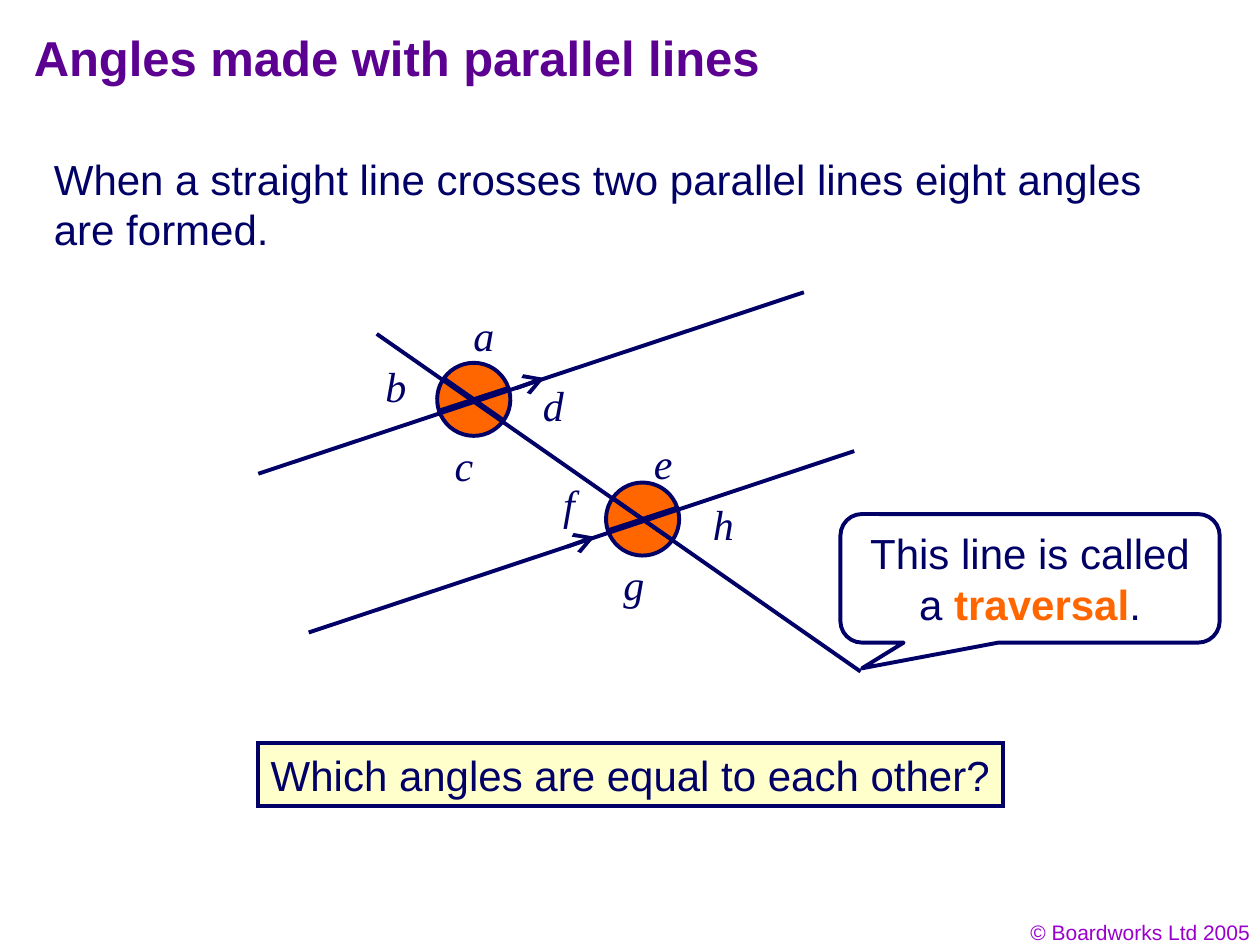
"""Build a slide on the angles made where a line crosses two parallel lines."""
from math import cos, radians, sin, tan

from lxml import etree
from pptx import Presentation
from pptx.dml.color import RGBColor
from pptx.enum.shapes import MSO_CONNECTOR, MSO_SHAPE
from pptx.enum.text import MSO_ANCHOR, PP_ALIGN
from pptx.oxml.ns import qn
from pptx.util import Inches, Pt

STRAIGHT = MSO_CONNECTOR.STRAIGHT
RECTANGLE = MSO_SHAPE.RECTANGLE
CALLOUT = MSO_SHAPE.ROUNDED_RECTANGULAR_CALLOUT
LEFT, CENTER, RIGHT = PP_ALIGN.LEFT, PP_ALIGN.CENTER, PP_ALIGN.RIGHT
TOP, MIDDLE = MSO_ANCHOR.TOP, MSO_ANCHOR.MIDDLE
COLORS = {name: RGBColor.from_string(value) for name, value in {
    "text": "010066", "line": "000066", "orange": "FF6600",
    "cream": "FFFFCC", "title": "5B0091", "footer": "9900CC"}.items()}
LINE_WIDTH = Pt(2.25)

presentation = Presentation()
presentation.slide_width = Inches(10)
presentation.slide_height = Inches(7.5)
slide = presentation.slides.add_slide(presentation.slide_layouts[6])
shapes = slide.shapes


def write(shape, runs, size=24, font="Arial", align=LEFT, anchor=TOP, wrap=True, italic=False):
    """Fill a shape with one paragraph of (text, color, bold) runs."""
    frame = shape.text_frame
    frame.word_wrap = wrap
    frame.vertical_anchor = anchor
    paragraph = frame.paragraphs[0]
    paragraph.alignment = align
    for text, color, bold in runs:
        run = paragraph.add_run()
        run.text = text
        run.font.name = font
        run.font.size = Pt(size)
        run.font.bold = bold
        run.font.italic = italic
        run.font.color.rgb = COLORS[color]


def add_line(parent, start, end, arrow=False):
    """Draw a straight line between two points, with an optional arrowhead."""
    connector = parent.add_connector(STRAIGHT, *map(Inches, start + end))
    connector.line.color.rgb = COLORS["line"]
    connector.line.width = LINE_WIDTH
    properties = connector._element.spPr
    if arrow:
        etree.SubElement(properties.find(qn("a:ln")), qn("a:tailEnd"),
                         type="arrow", w="lg", len="lg")
    etree.SubElement(properties, qn("a:effectLst"))


footer = shapes.add_textbox(Inches(7.69), Inches(7.25), Inches(2.33), Inches(0.3))
write(footer, [("© Boardworks Ltd 2005", "footer", False)], size=12, align=RIGHT)

RADIUS = 0.29
SECTORS = [(35, 162, 2), (215, 342, 2), (342, 395, 1), (162, 215, 1)]
for center_x, center_y in [(3.76, 3.17), (5.1, 4.12)]:
    circle = shapes.add_group_shape().shapes
    for first, last, curves in SECTORS:
        step = radians(last - first) / curves
        handle = 4 / 3 * tan(step / 4)
        units = []
        for index in range(curves):
            begin = radians(first) + index * step
            end = begin + step
            units += [(cos(begin) - handle * sin(begin), sin(begin) + handle * cos(begin)),
                      (cos(end) + handle * sin(end), sin(end) - handle * cos(end)),
                      (cos(end), sin(end))]
        units = [(cos(radians(first)), sin(radians(first)))] + units + [(0, 0)]
        points = [(Inches(center_x + RADIUS * x), Inches(center_y + RADIUS * y)) for x, y in units]
        builder = circle.build_freeform(Inches(center_x - RADIUS), Inches(center_y - RADIUS))
        builder.move_to(Inches(center_x + RADIUS), Inches(center_y + RADIUS))
        builder.move_to(*points[0])
        builder.add_line_segments(points[1:], close=True)
        sector = builder.convert_to_shape()

        outline = next(sector._element.iter(qn("a:path")))
        for corner in outline.findall(qn("a:moveTo"))[:2]:
            outline.remove(corner)
        segments = outline.findall(qn("a:lnTo"))
        for index in range(0, 3 * curves, 3):
            curve = etree.Element(qn("a:cubicBezTo"))
            segments[index].addprevious(curve)
            for segment in segments[index:index + 3]:
                curve.append(segment[0])
                outline.remove(segment)

        sector.shadow.inherit = False
        sector.fill.solid()
        sector.fill.fore_color.rgb = COLORS["orange"]
        sector.line.color.rgb = COLORS["line"]
        sector.line.width = LINE_WIDTH

title = shapes.add_textbox(Inches(0.17), Inches(0.17), Inches(8.5), Inches(0.67))
write(title, [("Angles made with parallel lines", "title", True)], size=28)

statement = shapes.add_textbox(Inches(0.33), Inches(1.17), Inches(8.84), Inches(0.9))
write(statement, [("When a straight line crosses two parallel lines eight angles are formed.",
                   "text", False)])

for left, bottom in [(2.05, 3.76), (2.45, 5.02)]:
    parallel = shapes.add_group_shape().shapes
    add_line(parallel, (left, bottom), (left + 4.33, bottom - 1.44))
    add_line(parallel, (left + 2.05, bottom - 0.68), (left + 2.27, bottom - 0.76), arrow=True)
add_line(shapes, (2.99, 2.65), (6.83, 5.33))

question = shapes.add_shape(RECTANGLE, Inches(2.05), Inches(5.9), Inches(5.91), Inches(0.5))
question.fill.solid()
question.fill.fore_color.rgb = COLORS["cream"]
write(question, [("Which angles are equal to each other?", "text", False)], wrap=False)

ANGLE_LABELS = {
    "a": (3.66, 2.41), "b": (2.96, 2.81), "c": (3.51, 3.44), "d": (4.21, 2.96),
    "e": (5.09, 3.42), "f": (4.37, 3.75), "g": (4.85, 4.38), "h": (5.56, 3.91)}
LABEL_WIDTHS = {"c": 0.35, "e": 0.35, "f": 0.29}
for letter, (left, top) in ANGLE_LABELS.items():
    label = shapes.add_textbox(
        Inches(left), Inches(top), Inches(LABEL_WIDTHS.get(letter, 0.36)), Inches(0.5))
    write(label, [(letter, "text", False)], font="Times New Roman", wrap=False, italic=True)

callout = shapes.add_shape(CALLOUT, Inches(6.67), Inches(4.08), Inches(3.01), Inches(1.02))
for index, value in enumerate([-0.443, 0.7, 0.167]):
    callout.adjustments[index] = value
callout.fill.background()
write(callout, [("This line is called a ", "text", False), ("traversal", "orange", True),
                (".", "text", False)], align=CENTER, anchor=MIDDLE)

for box in (question, callout):
    box.shadow.inherit = False
    box.line.color.rgb = COLORS["line"]
    box.line.width = LINE_WIDTH
etree.SubElement(question._element.spPr.find(qn("a:ln")), qn("a:miter"), lim="800000")

presentation.save("out.pptx")
